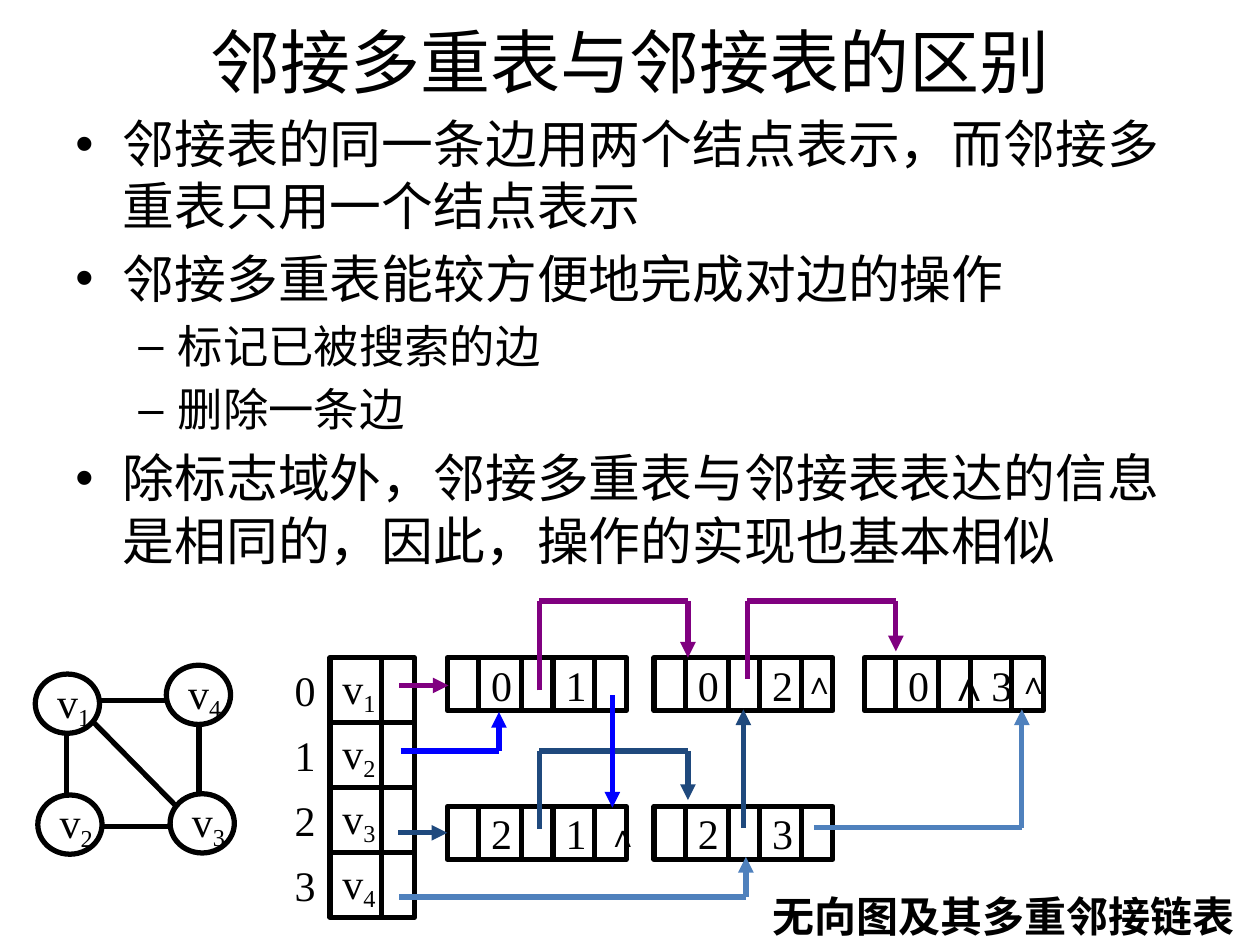
import pptx
import pptx.util
import pptx.dml.color
import pptx.enum.shapes
import pptx.enum.text
import pptx.oxml.ns
import lxml.etree

COLS, ROWS = 100, 75
SERIF = "Times New Roman"
BLACK, NAVY, PLUM, BLUE, STEEL = "000000", "1F497D", "800080", "0000FF", "4F81BD"
FORM = pptx.enum.shapes.MSO_SHAPE
ALIGN = pptx.enum.text.PP_ALIGN
ANCHOR = pptx.enum.text.MSO_ANCHOR

deck = pptx.Presentation()
deck.slide_width = pptx.util.Inches(10)
deck.slide_height = pptx.util.Inches(7.5)
slide = deck.slides.add_slide(deck.slide_layouts[6])


def tint(code):
    return pptx.dml.color.RGBColor.from_string(code)


def span(cols):
    return round(cols * deck.slide_width / COLS)


def drop(rows):
    return round(rows * deck.slide_height / ROWS)


def place(box):
    left, top, width, height = box
    return span(left), drop(top), span(width), drop(height)


def add(parent, tag, **attrs):
    return lxml.etree.SubElement(parent, pptx.oxml.ns.qn(tag), attrs)


def write(para, text, size=24, font=SERIF, bold=False, base=None):
    run = para.add_run()
    run.text = text
    run.font.size = pptx.util.Pt(size)
    run.font.name = font
    run.font.bold = bold
    run.font.color.rgb = tint(BLACK)
    if base:
        run.font._element.set("baseline", str(base * 1000))


def frame(shape, anchor=ANCHOR.MIDDLE, wrap=False, align=ALIGN.LEFT):
    body = shape.text_frame
    body.word_wrap = wrap
    body.vertical_anchor = anchor
    body.paragraphs[0].alignment = align
    return body


def label(box, text, anchor=ANCHOR.MIDDLE, wrap=False, align=ALIGN.LEFT, **style):
    shape = slide.shapes.add_textbox(*place(box))
    write(frame(shape, anchor, wrap, align).paragraphs[0], text, **style)


def outline(form, box):
    shape = slide.shapes.add_shape(form, *place(box))
    shape.shadow.inherit = False
    shape.fill.background()
    shape.line.color.rgb = tint(BLACK)
    shape.line.width = pptx.util.Pt(3)
    return shape


def link(points, color=BLACK, arrow=True):
    pairs = list(zip(points, points[1:]))
    for (x, y), (u, v) in pairs:
        line = slide.shapes.add_connector(
            pptx.enum.shapes.MSO_CONNECTOR.STRAIGHT, span(x), drop(y), span(u), drop(v))
        line.line.color.rgb = tint(color)
        line.line.width = pptx.util.Pt(3)
        if arrow and (u, v) == points[-1]:
            add(line.line._get_or_add_ln(), "a:tailEnd", type="triangle")
        add(line._element.spPr, "a:effectLst")


def bullets(box, items):
    body = frame(slide.shapes.add_textbox(*place(box)), ANCHOR.TOP, True)
    looks = [("•", 3.75, 3.75, 29.6), ("–", 8.13, 3.13, 25.9)]
    for i, (level, text) in enumerate(items):
        mark, left, hang, size = looks[level]
        para = body.add_paragraph() if i else body.paragraphs[0]
        para.level = level
        para.space_before = pptx.util.Pt(size / 5 if i else 0)
        props = para._p.get_or_add_pPr()
        props.set("marL", str(span(left)))
        props.set("indent", str(-span(hang)))
        add(props, "a:buFont", typeface="Arial")
        add(props, "a:buChar", char=mark)
        write(para, text, size, "Calibri")


def vertex(form, box, index):
    para = frame(outline(form, box)).paragraphs[0]
    write(para, "v")
    write(para, str(index), base=-20)


def graph(box):
    left, top, width, height = box
    spots = [(0, 0.7), (0.2, 10.3), (10.7, 10.2), (10.4, 0)]
    for i, (x, y) in enumerate(spots, 1):
        vertex(FORM.OVAL, (left + x, top + y, 5.1, 4.7), i)
    edges = [(2.5, 5.5, 2.5, 10.5), (13, 4.8, 13, 10.4), (4.5, 4.4, 11.1, 11.1),
             (5.2, 2.8, 10.3, 2.8), (5.3, 12.8, 10.8, 12.8)]
    for x, y, u, v in edges:
        link([(left + x, top + y), (left + u, top + v)], arrow=False)


def heads(box, count):
    left, top, width, height = box
    step = height / count
    for i in range(count):
        y = top + i * step
        vertex(FORM.RECTANGLE, (left + 3.8, y, 6.7, step), i + 1)
        link([(left + 7.9, y), (left + 7.9, y + step)], arrow=False)
        label((left, y, 3.1, step), str(i))


def node(box, *cells):
    left, top, width, height = box
    body = frame(outline(FORM.RECTANGLE, box), wrap=True)
    body.margin_right = 0
    para = body.paragraphs[0]
    tabs = add(para._p.get_or_add_pPr(), "a:tabLst")
    for stop in (2.5, 8.4) if len(cells) == 2 else (2.5, 5.7, 9.1):
        add(tabs, "a:tab", pos=str(span(stop)), algn="l")
    write(para, "".join("\t" + cell for cell in cells))
    for x in (2.5, 5.9, 8.4, 11.7):
        link([(left + x, top), (left + x, top + height)], arrow=False)


def hop(left, top, foot, tip, color):
    right = left + 11.8
    link([(left, foot), (left, top), (right, top), (right, tip)], color)


def lists(box):
    left, top, width, height = box
    low = top + 11.8
    for x, y, *cells in [(0, top, "0", "1"), (16.4, top, "0", "2"),
                         (33.1, top, "0", "∧", "3"), (0, low, "2", "1"),
                         (16.4, low, "2", "3")]:
        node((left + x, y, 14.2, 4.2), *cells)
    for x, y in [(44.3, top - 0.1), (27.3, top - 0.1), (11.7, low + 0.3)]:
        label((left + x, y, 3.5, 4), "∧", anchor=ANCHOR.TOP, size=18)
    hop(left + 7.3, top - 4.5, top + 2.6, top, PLUM)
    hop(left + 23.8, top - 4.5, top + 1.7, top - 0.5, PLUM)
    hop(left + 7.3, top + 7.4, low + 1.8, low - 0.5, NAVY)
    routes = [
        (PLUM, (-3.8, 2.2), (0.1, 2.2)),
        (NAVY, (-3.9, 13.9), (0, 13.9)),
        (BLUE, (-3.7, 7.4), (4.1, 7.4), (4.1, 4.3)),
        (BLUE, (13.1, 3), (13.1, 11.9)),
        (NAVY, (23.5, 13.5), (23.5, 4.1)),
        (STEEL, (-3.8, 19), (23.7, 19), (23.7, 15.8)),
        (STEEL, (29.1, 13.5), (45.6, 13.5), (45.6, 4.1)),
    ]
    for color, *points in routes:
        link([(left + x, top + y) for x, y in points], color)


label((5, -0.3, 90, 10.2), "邻接多重表与邻接表的区别",
      wrap=True, align=ALIGN.CENTER, size=40, font="Calibri")
bullets((5, 8.4, 90, 36.6), [
    (0, "邻接表的同一条边用两个结点表示，而邻接多重表只用一个结点表示"),
    (0, "邻接多重表能较方便地完成对边的操作"),
    (1, "标记已被搜索的边"),
    (1, "删除一条边"),
    (0, "除标志域外，邻接多重表与邻接表表达的信息是相同的，因此，操作的实现也基本相似"),
])
label((59.4, 70.6, 40.5, 4.2), "无向图及其多重邻接链表", align=ALIGN.CENTER, bold=True)
graph((2.8, 52.8, 15.8, 15))
heads((22.4, 52.2, 10.5, 20.6), 4)
lists((35.5, 52.2, 47.3, 16))
deck.save("out.pptx")
